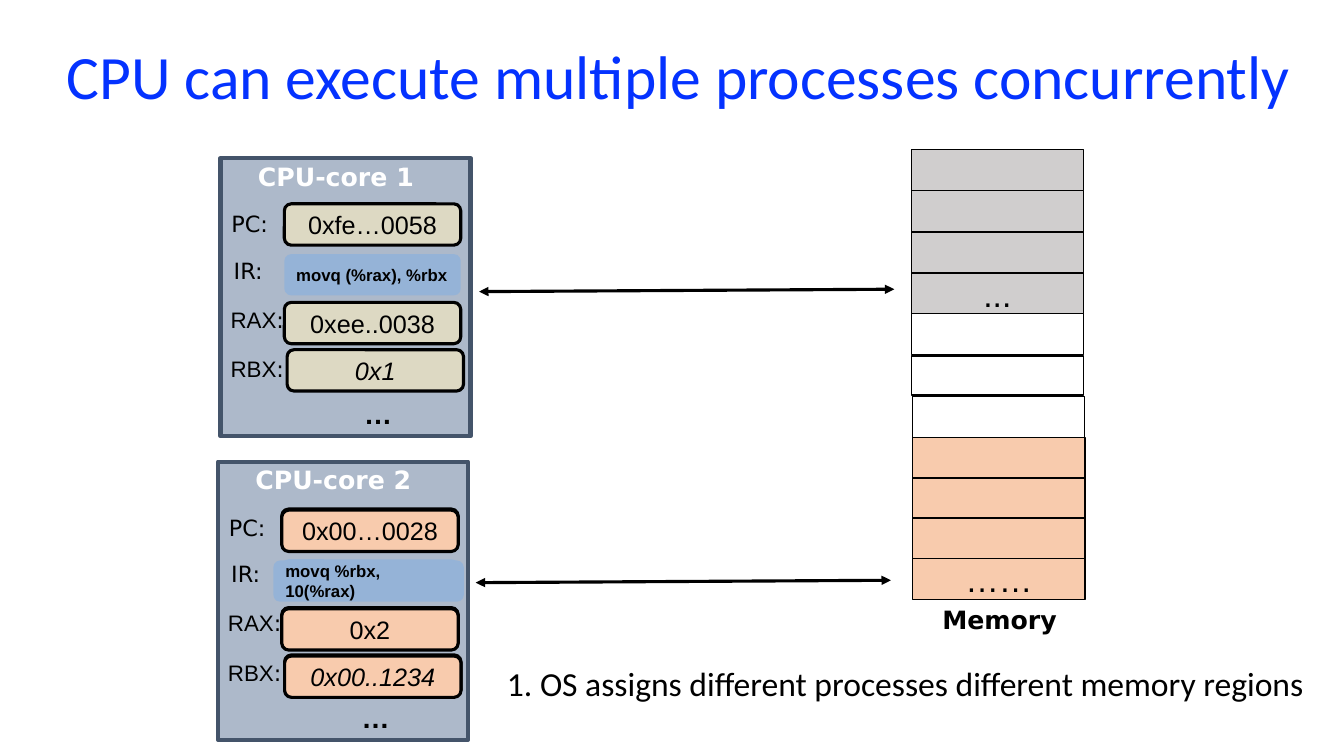
from dataclasses import dataclass
from typing import Optional

from lxml import etree
from pptx import Presentation
from pptx.dml.color import RGBColor
from pptx.enum import shapes, text
from pptx.oxml import ns
from pptx.util import Pt

BLACK = RGBColor(0x00, 0x00, 0x00)
WHITE = RGBColor(0xFF, 0xFF, 0xFF)
TITLE_BLUE = RGBColor(0x04, 0x32, 0xFF)
CORE_FILL = RGBColor(0xAD, 0xB9, 0xCA)
CORE_LINE = RGBColor(0x44, 0x54, 0x6A)
INSTRUCTION_BLUE = RGBColor(0x95, 0xB3, 0xD7)
TAN = RGBColor(0xDD, 0xD9, 0xC3)
GREY = RGBColor(0xD0, 0xCE, 0xCE)
PEACH = RGBColor(0xF8, 0xCB, 0xAD)

CENTER = text.PP_ALIGN.CENTER
LEFT = text.PP_ALIGN.LEFT
RECTANGLE = shapes.MSO_SHAPE.RECTANGLE
ROUNDED = shapes.MSO_SHAPE.ROUNDED_RECTANGLE
CELL_WIDTH, CELL_HEIGHT = 123.1, 29.5
REGISTER_WIDTH, REGISTER_HEIGHT = 126, 29.5


@dataclass(frozen=True)
class Style:
    size: float
    font: str = "Arial"
    color: RGBColor = BLACK
    bold: bool = False
    italic: bool = False
    align: text.PP_ALIGN = CENTER


@dataclass(frozen=True)
class Register:
    """A register row; positions are relative to its core."""
    name: str
    font: str
    label_left: float
    label_top: float
    label_width: float
    left: float
    top: float


@dataclass(frozen=True)
class Core:
    name: str
    left: float
    top: float
    fill: RGBColor
    values: tuple[str, ...]
    register_shift: float = 0
    instruction_extra: float = 0
    backed: bool = False


@dataclass(frozen=True)
class Band:
    """A run of equal memory cells."""
    left: float
    top: float
    count: int
    fill: RGBColor
    step: float = CELL_HEIGHT
    height: float = CELL_HEIGHT
    label: str = ""


REGISTERS = (
    Register("PC", "DejaVu Sans", -0.7, 33.6, 43.2, 45.6, 32.6),
    Register("IR", "DejaVu Sans", 0, 66.8, 39.6, 45.6, 68.5),
    Register("RAX", "Arial", -1.4, 102, 55.4, 45.6, 103),
    Register("RBX", "Arial", -1.4, 137.3, 55.4, 47.6, 136.8),
)
CORES = (
    Core("CPU-core 1", 157.5, 113, TAN,
         ("0xfe…0058", "movq (%rax), %rbx", "0xee..0038", "0x1")),
    Core("CPU-core 2", 155.7, 329.8, PEACH,
         ("0x00…0028", "movq %rbx, 10(%rax)", "0x2", "0x00..1234"),
         register_shift=2, instruction_extra=10, backed=True),
)
BANDS = (
    Band(650.9, 106.6, 4, GREY, label="..."),
    Band(650.9, 223.9, 1, WHITE),
    Band(651.6, 283, 1, WHITE),
    Band(652, 312.5, 4, PEACH, step=28.8, label="……"),
    Band(650.9, 254.2, 1, WHITE, height=28.1),
)


def style_paragraph(paragraph, style: Style) -> None:
    paragraph.alignment = style.align
    font = paragraph.font
    font.size, font.name = Pt(style.size), style.font
    font.bold, font.italic = style.bold, style.italic
    font.color.rgb = style.color


def add_box(slide, kind, left: float, top: float, width: float, height: float,
            fill: RGBColor, line: Optional[RGBColor], weight: float = 1,
            words: str = "", style: Optional[Style] = None):
    shape = slide.shapes.add_shape(kind, Pt(left), Pt(top), Pt(width), Pt(height))
    shape.shadow.inherit = False
    shape.fill.solid()
    shape.fill.fore_color.rgb = fill
    if line is None:
        shape.line.fill.background()
    else:
        shape.line.color.rgb = line
        shape.line.width = Pt(weight)
    if words and style:
        shape.text_frame.vertical_anchor = text.MSO_ANCHOR.MIDDLE
        shape.text_frame.text = words
        style_paragraph(shape.text_frame.paragraphs[0], style)
    return shape


def add_label(slide, left: float, top: float, width: float, height: float,
              words: str, style: Style):
    """Add one unwrapped line of text and return its paragraph."""
    shape = slide.shapes.add_textbox(Pt(left), Pt(top), Pt(width), Pt(height))
    frame = shape.text_frame
    frame.word_wrap = False
    frame.auto_size = text.MSO_AUTO_SIZE.SHAPE_TO_FIT_TEXT
    frame.text = words
    style_paragraph(frame.paragraphs[0], style)
    return frame.paragraphs[0]


def add_register(slide, core: Core, register: Register, value: str) -> None:
    paragraph = add_label(slide, core.left + register.label_left,
                          core.top + register.label_top, register.label_width, 26.6,
                          register.name, Style(16, register.font))
    colon = paragraph.add_run()
    colon.text = ":"
    colon.font.name = "DejaVu Sans"

    is_instruction = register.name == "IR"
    line = None if is_instruction else BLACK
    left = core.left + register.left
    top = core.top + register.top + core.register_shift
    if core.backed:
        add_box(slide, ROUNDED, left, top - 0.8, REGISTER_WIDTH, REGISTER_HEIGHT,
                INSTRUCTION_BLUE if is_instruction else WHITE, line, 2.25)
    if is_instruction:
        extra = core.instruction_extra
        add_box(slide, ROUNDED, left - extra * 0.6, top, REGISTER_WIDTH + extra,
                REGISTER_HEIGHT, INSTRUCTION_BLUE, line, words=value,
                style=Style(12, bold=True, align=LEFT))
    else:
        add_box(slide, ROUNDED, left, top, REGISTER_WIDTH, REGISTER_HEIGHT,
                core.fill, line, 2.25, value,
                Style(18, italic=register.name == "RBX"))


def add_core(slide, core: Core) -> None:
    add_box(slide, RECTANGLE, core.left, core.top, 178.6, 198.7,
            CORE_FILL, CORE_LINE, 3)
    add_label(slide, core.left + 18.3, core.top - 1.4, 128.2, 28.8, core.name,
              Style(18, "DejaVu Sans", WHITE, bold=True))
    for register, value in zip(REGISTERS, core.values):
        add_register(slide, core, register, value)
    add_label(slide, core.left + 95.3, core.top + 167, 34.6, 31.7, "…",
              Style(20, bold=True))


def add_band(slide, band: Band) -> None:
    for index in range(band.count):
        words = band.label if index == band.count - 1 else ""
        add_box(slide, RECTANGLE, band.left, band.top + index * band.step,
                CELL_WIDTH, band.height, band.fill, BLACK, 1, words, Style(24))


def add_double_arrow(slide, left: float, top: float) -> None:
    connector = slide.shapes.add_connector(
        shapes.MSO_CONNECTOR.STRAIGHT, Pt(left), Pt(top), Pt(left + 296.6), Pt(top - 1.7))
    connector.line.color.rgb = BLACK
    connector.line.width = Pt(2.25)
    outline = connector.line._get_or_add_ln()
    for end in ("a:headEnd", "a:tailEnd"):
        etree.SubElement(outline, ns.qn(end), type="triangle")
    etree.SubElement(connector._element.spPr, ns.qn("a:effectLst"))


def main() -> None:
    presentation = Presentation()
    presentation.slide_width, presentation.slide_height = Pt(960), Pt(540)
    slide = presentation.slides.add_slide(presentation.slide_layouts[5])

    # Title
    title = slide.shapes.title
    title.left, title.top, title.width, title.height = Pt(40.3), Pt(2.9), Pt(913), Pt(107.3)
    title.text_frame.text = "CPU can execute multiple processes concurrently"
    title.text_frame.vertical_anchor = text.MSO_ANCHOR.MIDDLE
    title.text_frame.paragraphs[0].line_spacing = 0.9
    style_paragraph(title.text_frame.paragraphs[0],
                    Style(44, "Calibri", TITLE_BLUE, align=LEFT))

    # Memory column
    for band in BANDS:
        add_band(slide, band)
    add_label(slide, 666, 428.4, 96.5, 28.8, "Memory",
              Style(18, "DejaVu Sans", bold=True, align=LEFT))

    # Cores and their links to memory
    for core in CORES:
        add_core(slide, core)
    add_double_arrow(slide, 342.2, 208.3)
    add_double_arrow(slide, 339.8, 416.2)

    # Remark
    add_label(slide, 355, 470.2, 591.8, 36,
              "1. OS assigns different processes different memory regions",
              Style(24, "Calibri", align=LEFT))

    presentation.save("out.pptx")


if __name__ == "__main__":
    main()
